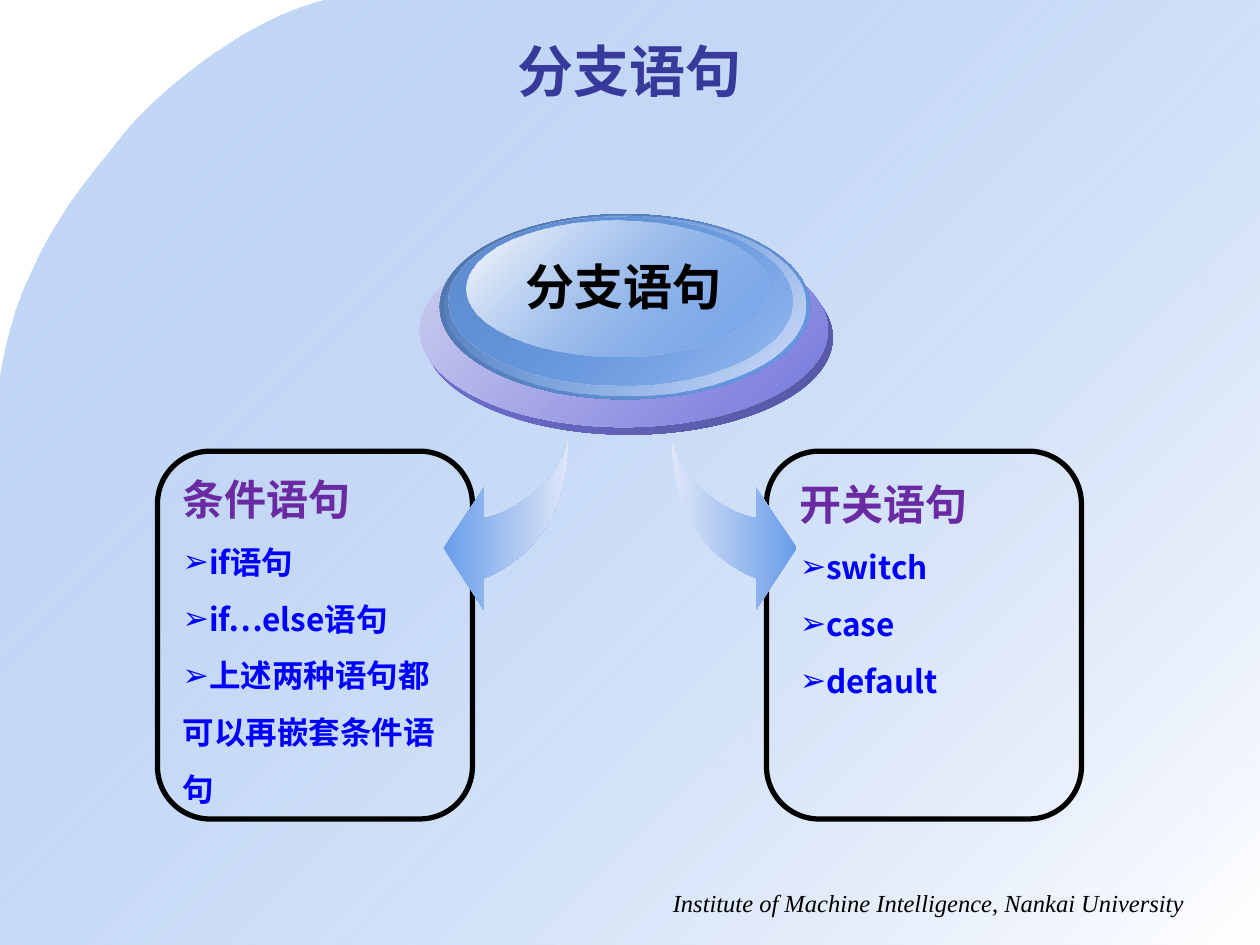
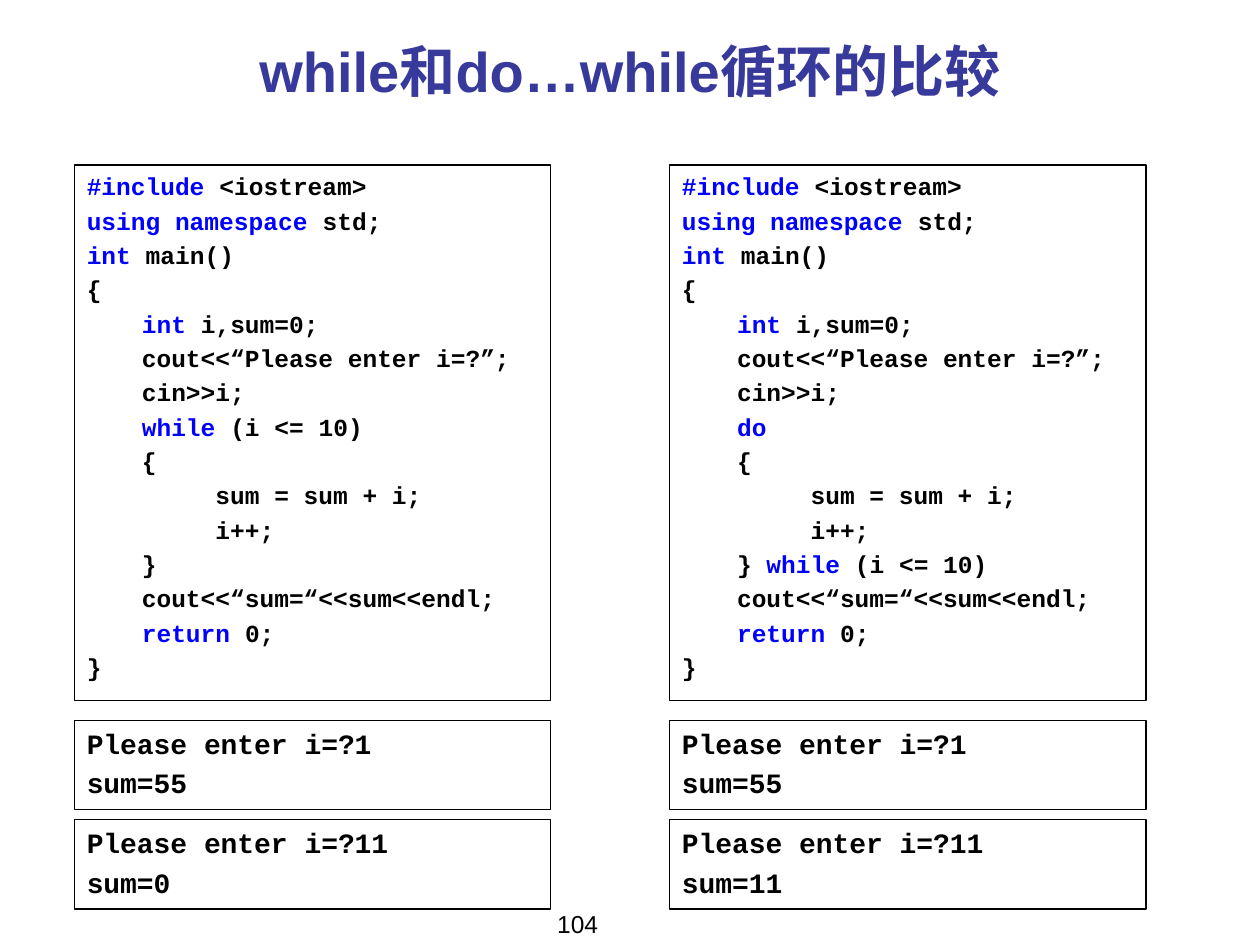
from dataclasses import dataclass

import pptx
import pptx.dml.color
import pptx.enum.shapes
import pptx.enum.text
import pptx.oxml.ns
import pptx.util
from lxml import etree

Pt = pptx.util.Pt
qn = pptx.oxml.ns.qn
Align = pptx.enum.text.PP_ALIGN
Anchor = pptx.enum.text.MSO_ANCHOR
Shape = pptx.enum.shapes.MSO_SHAPE


@dataclass(frozen=True)
class Theme:
    title_color: str = "37399B"
    heading_color: str = "692AA2"
    keyword_color: str = "0000FF"
    text_color: str = "000000"
    sky: str = "699DE9"
    pale_sky: str = "DEE6F8"
    white: str = "FFFFFF"
    chinese_font: str = "Noto Sans CJK SC"
    latin_font: str = "Arial"
    code_font: str = "Courier New"
    footer_font: str = "Times New Roman"
    title_size: float = 32
    label_size: float = 28
    heading_size: float = 24
    item_size: float = 18
    item_pitch: float = 32.4
    output_size: float = 16
    code_size: float = 14
    small_size: float = 14
    code_gap: float = 0.2


THEME = Theme()
SLIDE_WIDTH, SLIDE_HEIGHT = 720, 540

# Ellipses of the button: left, top, width, height, gradient stops
BUTTON_LAYERS = [
    (242.6, 137.5, 233.3, 110.9, [("7476DC", 100), ("5556A1", 100)]),
    (239.8, 133.2, 233.3, 110.9, [("D0D1F0", 100), ("7476DC", 100)]),
    (251.3, 122.4, 211.7, 105.8, [("4B70A7", 100), (THEME.sky, 100)]),
    (254.2, 123.1, 205.9, 103, [(THEME.sky, 0), ("DAE3F8", 100)]),
    (256.3, 123.8, 196.6, 96.5, [("5F8ED3", 100), (THEME.sky, 48)]),
    (266.4, 126, 172.8, 77.8, [(THEME.white, 100), (THEME.sky, 38)]),
]

# Code lines: tabs give the indent level, text between ~ marks is a keyword
CODE_START = [
    "~#include ~<iostream>",
    "~using namespace ~std;",
    "~int ~main()",
    "{",
    "\t~int ~i,sum=0;",
    "\tcout<<“Please enter i=?”;",
    "\tcin>>i;",
]
LOOP_BODY = ["\t{", "\t     sum = sum + i;", "\t     i++;"]
CODE_END = ["\tcout<<“sum=“<<sum<<endl;", "\t~return~ 0;", "}"]
WHILE_LOOP = ["\t~while~ (i <= 10)", *LOOP_BODY, "\t}"]
DO_LOOP = ["\t~do~", *LOOP_BODY, "\t}~ while~ (i <= 10)"]


def add_span(para, text, font, size, color, bold=False, italic=False):
    span = para.add_run()
    span.text = text
    span.font.name = font
    span.font.size = Pt(size)
    span.font.bold = bold
    span.font.italic = italic
    span.font.color.rgb = pptx.dml.color.RGBColor.from_string(color)
    east_asian = etree.SubElement(span.font._element, qn("a:ea"))
    east_asian.set("typeface", THEME.chinese_font)


def place(shape, left, top, width, height):
    shape.left, shape.top = Pt(left), Pt(top)
    shape.width, shape.height = Pt(width), Pt(height)


def prepare_frame(shape, wrap=True, anchor=Anchor.TOP):
    frame = shape.text_frame
    frame.word_wrap = wrap
    frame.auto_size = pptx.enum.text.MSO_AUTO_SIZE.NONE
    frame.vertical_anchor = anchor
    return frame


def next_para(frame, index):
    return frame.add_paragraph() if index else frame.paragraphs[0]


def set_bullet(para, character=None):
    """Give the paragraph a bullet without hanging indent, or none."""
    properties = para._p.get_or_add_pPr()
    properties.set("marL", "0")
    properties.set("indent", "0")
    if character:
        etree.SubElement(properties, qn("a:buChar")).set("char", character)
    else:
        etree.SubElement(properties, qn("a:buNone"))


def set_gradient(shape, stops, angle):
    """Fill with evenly spaced (color, opacity) stops; angle is clockwise."""
    shape.fill.gradient()
    gradient = shape.element.spPr.find(qn("a:gradFill"))
    for child in list(gradient):
        gradient.remove(child)
    stop_list = etree.SubElement(gradient, qn("a:gsLst"))
    for index, (color, opacity) in enumerate(stops):
        stop = etree.SubElement(stop_list, qn("a:gs"))
        stop.set("pos", str(index * 100000 // (len(stops) - 1)))
        rgb = etree.SubElement(stop, qn("a:srgbClr"))
        rgb.set("val", color)
        if opacity < 100:
            etree.SubElement(rgb, qn("a:alpha")).set("val", str(opacity * 1000))
    etree.SubElement(gradient, qn("a:lin")).set("ang", str(angle * 60000))


def curve(start, control_1, control_2, end, steps=16):
    """Points along a cubic Bezier curve."""
    points = []
    for step in range(steps + 1):
        t = step / steps
        weights = ((1 - t) ** 3, 3 * t * (1 - t) ** 2, 3 * t * t * (1 - t), t ** 3)
        corners = (start, control_1, control_2, end)
        points.append(tuple(
            sum(w * corner[axis] for w, corner in zip(weights, corners))
            for axis in (0, 1)))
    return points


def add_outline(slide, points, stops, angle):
    corners = [(Pt(x), Pt(y)) for x, y in points]
    builder = slide.shapes.build_freeform(*corners[0], scale=1.0)
    builder.add_line_segments(corners[1:], close=True)
    shape = builder.convert_to_shape()
    shape.shadow.inherit = False
    shape.line.fill.background()
    set_gradient(shape, stops, angle)
    return shape


def add_frame_box(slide, preset, left, top, width, height, line_width):
    box = slide.shapes.add_shape(
        preset, Pt(left), Pt(top), Pt(width), Pt(height))
    box.shadow.inherit = False
    box.fill.background()
    box.line.color.rgb = pptx.dml.color.RGBColor.from_string(THEME.text_color)
    box.line.width = Pt(line_width)
    return box


def add_label(slide, area, text, font, size, align, wrap=True, **style):
    box = slide.shapes.add_textbox(*map(Pt, area))
    para = prepare_frame(box, wrap).paragraphs[0]
    para.alignment = align
    add_span(para, text, font, size, THEME.text_color, **style)


def set_title(slide, text):
    title = slide.shapes.title
    place(title, 36, 18, 648, 44.6)
    para = prepare_frame(title, anchor=Anchor.MIDDLE).paragraphs[0]
    para.alignment = Align.CENTER
    add_span(para, text, THEME.latin_font, THEME.title_size,
             THEME.title_color, bold=True)


def add_backdrop(slide):
    points = [
        *curve((185.8, 0), (136.8, 11.5), (83.5, 59.8), (70.6, 77)),
        *curve((70.6, 77), (57.6, 95), (11.5, 139.7), (0, 216.7)),
        (0, SLIDE_HEIGHT), (SLIDE_WIDTH, SLIDE_HEIGHT), (SLIDE_WIDTH, 0),
    ]
    backdrop = add_outline(
        slide, points, [(THEME.sky, 39), (THEME.white, 100)], 45)
    slide.shapes._spTree.insert(2, backdrop.element)


def add_curved_arrow(slide, tail_x, direction):
    """Arrow swooping down from tail_x; direction is 1 right, -1 left."""
    points = [
        *curve((0, 0), (0, 41), (18.5, 68), (48.2, 79.9)),
        (48.2, 97.9), (71.3, 62.6), (48.2, 28.1),
        *curve((48.2, 45.4), (30, 43), (3, 22), (0, 0)),
    ]
    stops = [(THEME.sky, 100), (THEME.pale_sky, 100)]
    add_outline(slide,
                [(tail_x + direction * x, 250.6 + y) for x, y in points],
                stops[::-direction], 0)


def add_button(slide, text):
    group = slide.shapes.add_group_shape()
    for *area, stops in BUTTON_LAYERS:
        layer = group.shapes.add_shape(Shape.OVAL, *map(Pt, area))
        layer.shadow.inherit = False
        layer.line.fill.background()
        set_gradient(layer, stops, 45)
    add_label(slide, (292.3, 143.3, 128.2, 41), text, THEME.chinese_font,
              THEME.label_size, Align.CENTER, wrap=False, bold=True)


def fill_list(placeholder, area, heading, items):
    place(placeholder, *area)
    frame = prepare_frame(placeholder)
    for index, text in enumerate([heading, *items]):
        para = next_para(frame, index)
        para.space_before = Pt(0)
        if index:
            para.line_spacing = Pt(THEME.item_pitch)
            set_bullet(para, "➢")
            add_span(para, text, THEME.chinese_font, THEME.item_size,
                     THEME.keyword_color, bold=True)
        else:
            set_bullet(para)
            add_span(para, text, THEME.chinese_font, THEME.heading_size,
                     THEME.heading_color, bold=True)


def add_code_box(slide, left, top, height, lines, size):
    box = add_frame_box(slide, Shape.RECTANGLE, left, top, 272.2, height, 0.75)
    frame = prepare_frame(box)
    for index, line in enumerate(lines):
        para = next_para(frame, index)
        para.alignment = Align.LEFT
        if index:
            para.space_before = Pt(round(size * THEME.code_gap, 1))
        if line.startswith("\t"):
            para._p.get_or_add_pPr().set("marL", str(Pt(31.5)))
        for part, text in enumerate(line.lstrip("\t").split("~")):
            if text:
                color = THEME.keyword_color if part % 2 else THEME.text_color
                add_span(para, text, THEME.code_font, size, color, bold=True)


def build_branch_slide(deck):
    slide = deck.slides.add_slide(deck.slide_layouts[3])
    add_backdrop(slide)
    add_label(slide, (347.8, 504, 336.2, 24.5),
              "Institute of Machine Intelligence, Nankai University",
              THEME.footer_font, THEME.small_size, Align.RIGHT, italic=True)
    set_title(slide, "分支语句")
    for left in (90, 438):
        box = add_frame_box(slide, Shape.ROUNDED_RECTANGLE,
                            left, 257.8, 180, 210.2, 3)
        box.adjustments[0] = 0.167
    fill_list(slide.placeholders[1], (97.2, 267, 160.6, 200), "条件语句",
              ["if语句", "if…else语句", "上述两种语句都可以再嵌套条件语句"])
    fill_list(slide.placeholders[2], (449.8, 270, 162, 135), "开关语句",
              ["switch", "case", "default"])
    add_curved_arrow(slide, 324.7, -1)
    add_curved_arrow(slide, 383.8, 1)
    add_button(slide, "分支语句")


def build_loop_slide(deck):
    slide = deck.slides.add_slide(deck.slide_layouts[5])
    set_title(slide, "while和do…while循环的比较")
    add_label(slide, (246.2, 516.2, 167.8, 18.7), "104", THEME.latin_font,
              THEME.small_size, Align.CENTER)
    columns = [(42.5, WHILE_LOOP, "sum=0"), (382.6, DO_LOOP, "sum=11")]
    for left, loop, second_sum in columns:
        add_code_box(slide, left, 94.3, 306, CODE_START + loop + CODE_END,
                     THEME.code_size)
        outputs = [("1", "sum=55"), ("11", second_sum)]
        for row, (entered, total) in enumerate(outputs):
            add_code_box(slide, left, 411.6 + row * 56.8, 51,
                         [f"Please enter i=?{entered}", total],
                         THEME.output_size)


def main():
    deck = pptx.Presentation()
    deck.slide_width, deck.slide_height = Pt(SLIDE_WIDTH), Pt(SLIDE_HEIGHT)
    build_branch_slide(deck)
    build_loop_slide(deck)
    deck.save("out.pptx")


if __name__ == "__main__":
    main()
